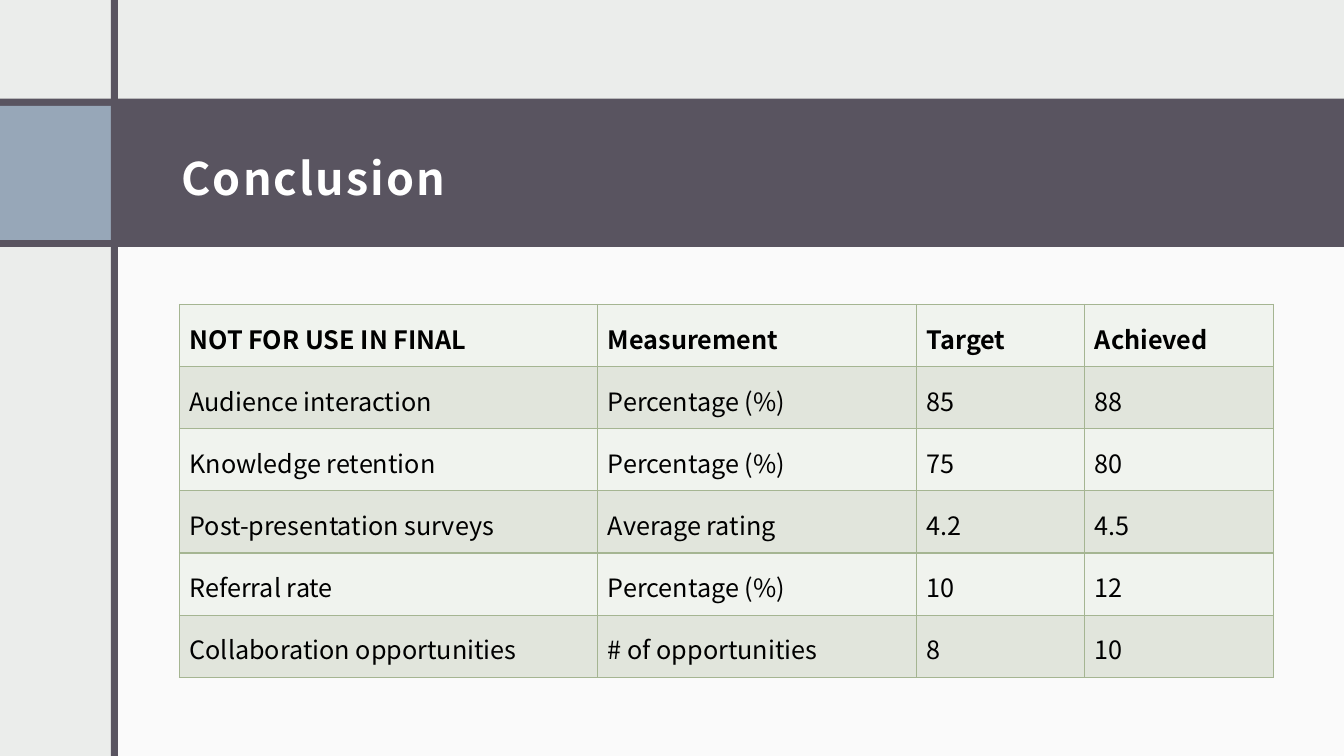
from dataclasses import dataclass

from lxml import etree
from pptx import Presentation
from pptx.dml.color import RGBColor
from pptx.enum.shapes import MSO_SHAPE
from pptx.enum.text import MSO_ANCHOR, MSO_AUTO_SIZE, PP_ALIGN
from pptx.oxml.ns import qn
from pptx.util import Inches, Pt


@dataclass(frozen=True)
class Theme:
    font: str = "Noto Sans CJK JP"
    title_size: int = 32
    table_size: int = 18
    background: str = "EBEDEB"
    panel: str = "FAFAFA"
    dark: str = "595460"
    accent: str = "97A7B8"
    white: str = "FFFFFF"
    black: str = "000000"
    border: str = "A5B592"
    row_light: str = "F0F3EE"
    row_dark: str = "E1E5DC"


theme = Theme()


def write(tf, text, *, size, color, bold=False, spacing=0):
    p = tf.paragraphs[0]
    p.alignment = PP_ALIGN.LEFT
    r = p.add_run()
    r.text = text
    r.font.name = theme.font
    r.font.size = Pt(size)
    r.font.bold = bold
    r.font.color.rgb = RGBColor.from_string(color)
    if spacing:
        r.font._element.set("spc", str(int(spacing * 100)))


def add_border(cell, color, width):
    tcPr = cell._tc.get_or_add_tcPr()
    for side in ("a:lnL", "a:lnR", "a:lnT", "a:lnB"):
        ln = etree.SubElement(tcPr, qn(side), w=str(Pt(width)))
        fill = etree.SubElement(ln, qn("a:solidFill"))
        etree.SubElement(fill, qn("a:srgbClr"), val=color)


prs = Presentation()
prs.slide_width, prs.slide_height = Inches(13.33), Inches(7.5)
s = prs.slides.add_slide(prs.slide_layouts[5])
s.background.fill.solid()
s.background.fill.fore_color.rgb = RGBColor.from_string(theme.background)

# Panel, title band, accent block and vertical bar
blocks = [
    (1.14, 2.33, 12.19, 5.17, theme.panel),
    (0, 0.98, 13.33, 1.47, theme.dark),
    (0, 1.05, 1.1, 1.33, theme.accent),
    (1.1, 0, 0.07, 7.5, theme.dark),
]
for left, top, width, height, color in blocks:
    sp = s.shapes.add_shape(MSO_SHAPE.RECTANGLE, Inches(left), Inches(top),
                            Inches(width), Inches(height))
    sp.shadow.inherit = False
    sp.fill.solid()
    sp.fill.fore_color.rgb = RGBColor.from_string(color)
    sp.line.fill.background()

# Title, brought in front of the band
title = s.shapes.title
s.shapes._spTree.append(title._element)
title.left, title.top = Inches(1.68), Inches(1.05)
title.width, title.height = Inches(10.95), Inches(1.33)
tf = title.text_frame
tf.auto_size = MSO_AUTO_SIZE.NONE
tf.word_wrap = True
tf.vertical_anchor = MSO_ANCHOR.MIDDLE
tf.margin_left = tf.margin_right = Inches(0.12)
tf.margin_top, tf.margin_bottom = Inches(0.2), Inches(0.1)
write(tf, "Conclusion", size=theme.title_size, color=theme.white, bold=True, spacing=1.5)

# Results table
rows = [
    ("NOT FOR USE IN FINAL", "Measurement", "Target", "Achieved"),
    ("Audience interaction", "Percentage (%)", "85", "88"),
    ("Knowledge retention", "Percentage (%)", "75", "80"),
    ("Post-presentation surveys", "Average rating", "4.2", "4.5"),
    ("Referral rate", "Percentage (%)", "10", "12"),
    ("Collaboration opportunities", "# of opportunities", "8", "10"),
]
col_widths = [4.15, 3.16, 1.67, 1.87]
table = s.shapes.add_table(len(rows), len(col_widths), Inches(1.78), Inches(3.02),
                           Inches(sum(col_widths)), Inches(3.7)).table
table.horz_banding = False
for column, width in zip(table.columns, col_widths):
    column.width = Inches(width)

for i, values in enumerate(rows):
    for j, text in enumerate(values):
        cell = table.cell(i, j)
        add_border(cell, theme.border, 1)
        cell.fill.solid()
        cell.fill.fore_color.rgb = RGBColor.from_string(
            theme.row_dark if i % 2 else theme.row_light)
        cell.vertical_anchor = MSO_ANCHOR.MIDDLE
        cell.margin_left = cell.margin_right = cell.margin_top = Inches(0.1)
        cell.margin_bottom = Inches(0.05)
        write(cell.text_frame, text, size=theme.table_size, color=theme.black, bold=i == 0)

prs.save("out.pptx")
